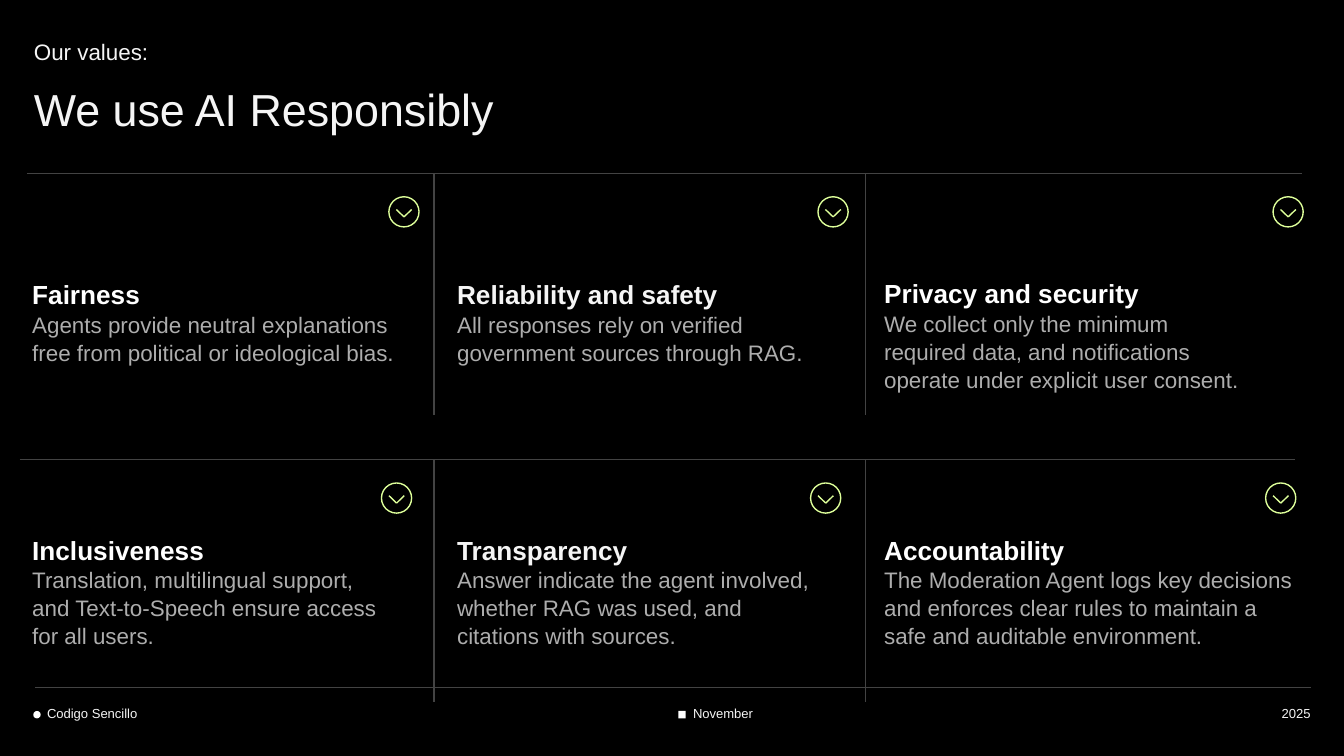
from lxml import etree
from pptx import Presentation
from pptx.dml.color import RGBColor
from pptx.enum.shapes import MSO_CONNECTOR, MSO_SHAPE
from pptx.enum.text import MSO_ANCHOR, MSO_AUTO_SIZE, PP_ALIGN
from pptx.oxml.ns import qn
from pptx.util import Cm, Pt

STRAIGHT = MSO_CONNECTOR.STRAIGHT
OVAL, RECTANGLE = MSO_SHAPE.OVAL, MSO_SHAPE.RECTANGLE
TOP, BOTTOM = MSO_ANCHOR.TOP, MSO_ANCHOR.BOTTOM
LEFT, RIGHT = PP_ALIGN.LEFT, PP_ALIGN.RIGHT

COLORS = {
    "background": "000000",
    "white": "FFFFFF",
    "light": "F5F5F5",
    "muted": "ADADAD",
    "rule": "434343",
    "accent": "DEFF9A",
}

HEADING = {"size": Pt(14), "bold": True}
BODY = {"size": Pt(12), "bold": False}
FOOTER = {"size": Pt(7), "bold": False}
TITLE = {"size": Pt(24), "bold": False}

# Text left, icon left, heading colour
COLUMNS = [(0.61, 7.35, "white"), (8.64, 15.46, "light"), (16.71, 24.06, "white")]
DIVIDERS = [8.2, 16.36]

# Rule top, text top, leftward shift of rule and icons,
# then heading, body, box width and box height of each card
ROWS = [
    (3.28, 5.28, 0, [
        ("Fairness", "Agents provide neutral explanations free from political "
         "or ideological bias.", 7.39, 1.88),
        ("Reliability and safety", "All responses rely on verified government "
         "sources through RAG.", 7.39, 1.88),
        ("Privacy and security", "We collect only the minimum required data, and "
         "notifications operate under explicit user consent.", 7.24, 2.39),
    ]),
    (8.69, 10.13, 0.14, [
        ("Inclusiveness", "Translation, multilingual support, and Text-to-Speech "
         "ensure access for all users.", 7.09, 2.39),
        ("Transparency", "Answer indicate the agent involved, whether RAG was "
         "used, and citations with sources.", 7.29, 2.39),
        ("Accountability", "The Moderation Agent logs key decisions and enforces "
         "clear rules to maintain a safe and auditable environment.", 8.1, 2.39),
    ]),
]


def rgb(name):
    return RGBColor.from_string(COLORS[name])


def add_line(shapes, start, end, color):
    line = shapes.add_connector(STRAIGHT, *(Cm(value) for value in start + end))
    line.line.color.rgb = rgb(color)
    line.line.width = Pt(0.75)
    etree.SubElement(line._element.spPr, qn("a:effectLst"))


def add_marker(slide, kind, left):
    marker = slide.shapes.add_shape(kind, Cm(left), Cm(13.44), Cm(0.14), Cm(0.14))
    marker.shadow.inherit = False
    marker.fill.solid()
    marker.fill.fore_color.rgb = rgb("white")
    marker.line.fill.background()


def add_icon(slide, left, top):
    """Circle with a chevron that points down."""
    shapes = slide.shapes.add_group_shape().shapes
    circle = shapes.add_shape(OVAL, Cm(left), Cm(top), Cm(0.57), Cm(0.57))
    circle.shadow.inherit = False
    circle.fill.background()
    circle.line.color.rgb = rgb("accent")
    circle.line.width = Pt(0.75)
    tip = (left + 0.285, top + 0.38)
    for offset in (0.14, 0.43):
        add_line(shapes, (left + offset, top + 0.24), tip, "accent")


def place(box, left, top, width, height):
    box.left, box.top, box.width, box.height = map(Cm, (left, top, width, height))


def write(box, lines, anchor=TOP, align=LEFT, spacing=1.15, margin=0.0):
    """Fill a box with one paragraph for each (text, format, colour)."""
    frame = box.text_frame
    settings = {
        "word_wrap": True, "auto_size": MSO_AUTO_SIZE.NONE, "vertical_anchor": anchor,
        "margin_left": 0, "margin_top": 0,
        "margin_right": Cm(margin), "margin_bottom": Cm(margin),
    }
    for name, value in settings.items():
        setattr(frame, name, value)
    for index, (text, style, color) in enumerate(lines):
        para = frame.paragraphs[0] if index == 0 else frame.add_paragraph()
        para.alignment = align
        para.line_spacing = spacing
        para.space_before = para.space_after = Pt(0)
        span = para.add_run()
        span.text = text
        span.font.name = "Arial"
        span.font.color.rgb = rgb(color)
        for name, value in style.items():
            setattr(span.font, name, value)


def add_text(slide, area, lines, **layout):
    box = slide.shapes.add_textbox(*(Cm(value) for value in area))
    write(box, lines, **layout)


def add_heading(slide):
    title, subtitle = slide.shapes.title, slide.placeholders[1]
    place(subtitle, 0.64, 0.64, 8.1, 0.64)
    write(subtitle, [("Our values:", BODY, "light")])
    place(title, 0.64, 1.7, 10.9, 1.12)
    write(title, [("We use AI Responsibly", TITLE, "light")], spacing=0.85, margin=0.25)


def add_footer(slide):
    add_line(slide.shapes, (0.66, 13), (24.77, 13), "rule")
    add_marker(slide, OVAL, 0.63)
    add_marker(slide, RECTANGLE, 12.82)
    for text, left, width, align in [
        ("Codigo Sencillo", 0.89, 7.49, LEFT),
        ("November", 13.1, 6.38, LEFT),
        ("2025", 19.05, 5.72, RIGHT),
    ]:
        add_text(slide, (left, 12.98, width, 0.66), [(text, FOOTER, "light")],
                 anchor=BOTTOM, align=align)


def add_row(slide, rule_top, text_top, shift, cards):
    for left in DIVIDERS:
        add_line(slide.shapes, (left, rule_top), (left, rule_top + 4.57), "rule")
    add_line(slide.shapes, (0.51 - shift, rule_top), (24.61 - shift, rule_top), "rule")
    for column, (heading, body, width, height) in zip(COLUMNS, cards):
        text_left, icon_left, color = column
        add_icon(slide, icon_left - shift, rule_top + 0.44)
        add_text(slide, (text_left, text_top, width, height),
                 [(heading, HEADING, color), (body, BODY, "muted")],
                 anchor=BOTTOM, spacing=1.04, margin=0.25)


def main():
    deck = Presentation()
    deck.slide_width, deck.slide_height = Cm(25.4), Cm(14.29)
    slide = deck.slides.add_slide(deck.slide_layouts[0])
    slide.background.fill.solid()
    slide.background.fill.fore_color.rgb = rgb("background")
    add_heading(slide)
    add_footer(slide)
    for row in ROWS:
        add_row(slide, *row)
    deck.save("out.pptx")


if __name__ == "__main__":
    main()
